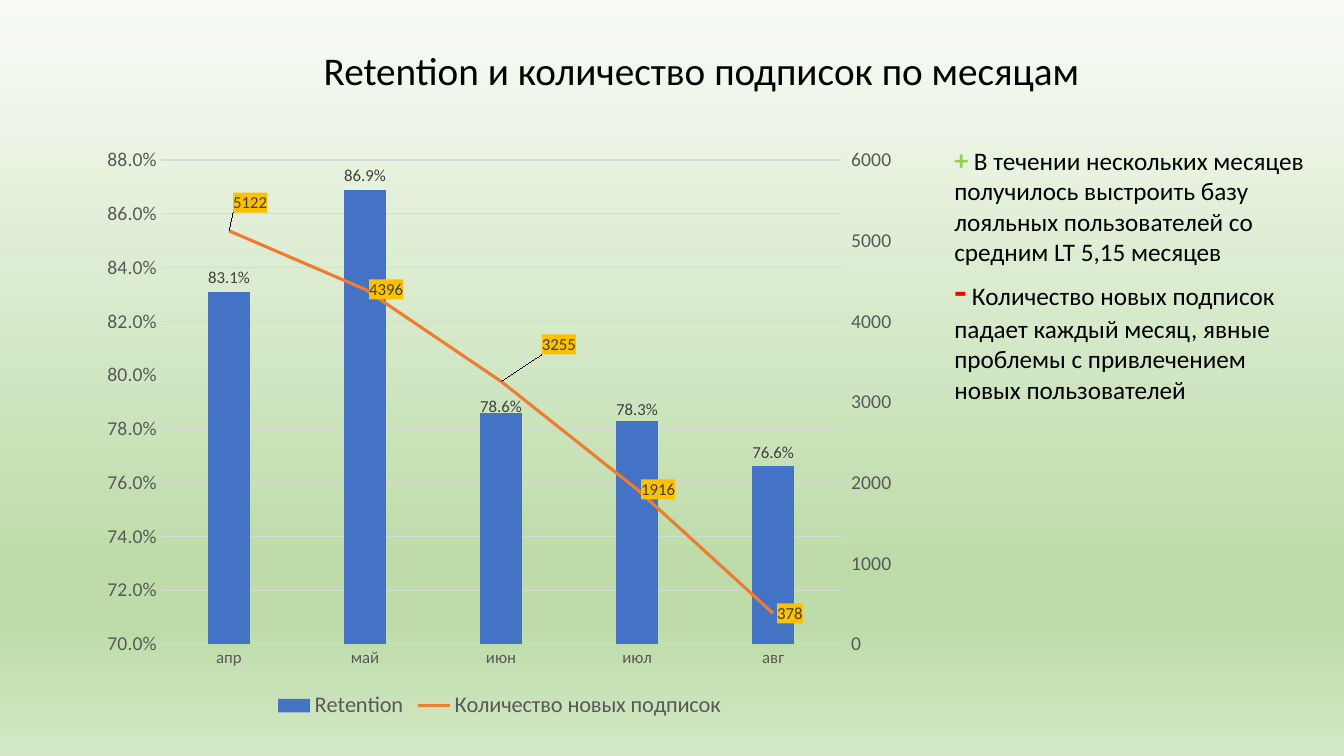
from copy import deepcopy

from lxml import etree
from pptx import Presentation
from pptx.chart.axis import CategoryAxis, ValueAxis
from pptx.chart.data import CategoryChartData
from pptx.dml.color import RGBColor
from pptx.enum.chart import XL_CHART_TYPE as CT, XL_LABEL_POSITION as POS
from pptx.enum.chart import XL_LEGEND_POSITION as LEGEND, XL_MARKER_STYLE as MARKER
from pptx.enum.chart import XL_TICK_MARK as TICK
from pptx.enum.text import MSO_ANCHOR, MSO_AUTO_SIZE, PP_ALIGN
from pptx.oxml import parse_xml
from pptx.oxml.ns import nsdecls, qn
from pptx.util import Pt


def style(font, size, color, bold=False):
    font.name, font.size, font.bold = "Calibri", Pt(size), bold
    font.color.rgb = RGBColor.from_string(color)


def add_layout(parent, index, **values):
    """Insert a manual chart layout as the given child of parent."""
    layout = etree.Element(qn("c:layout"))
    manual = etree.SubElement(layout, qn("c:manualLayout"))
    for name, value in values.items():
        etree.SubElement(manual, qn("c:" + name), val=str(value))
    parent.insert(index, layout)


prs = Presentation()
prs.slide_width, prs.slide_height = Pt(960), Pt(540)
s = prs.slides.add_slide(prs.slide_layouts[5])

# Background
fill = s.background.fill
fill.gradient()
fill.gradient_angle = 270
stops = s.background._cSld.find(".//" + qn("a:gsLst"))
stops.clear()
for pos, color in [(0, "F8FBF6"), (74, "BEDCAA"), (83, "BEDCAA"), (100, "D4E8C6")]:
    stop = etree.SubElement(stops, qn("a:gs"), pos=str(pos * 1000))
    etree.SubElement(stop, qn("a:srgbClr"), val=color)

# Title
title = s.shapes.title
title.left, title.top, title.width, title.height = Pt(221), Pt(29.5), Pt(560), Pt(41)
tf = title.text_frame
tf.word_wrap = False
tf.auto_size = MSO_AUTO_SIZE.SHAPE_TO_FIT_TEXT
tf.vertical_anchor = MSO_ANCHOR.MIDDLE
p = tf.paragraphs[0]
p.alignment = PP_ALIGN.CENTER
r = p.add_run()
r.text = "Retention и количество подписок по месяцам"
style(r.font, 28, "000000")

# Chart
data = CategoryChartData()
data.categories = ["апр", "май", "июн", "июл", "авг"]
data.add_series("Retention", [0.831, 0.869, 0.786, 0.783, 0.766], "0.0%")
data.add_series("Количество новых подписок", [5122, 4396, 3255, 1916, 378], "General")
chart = s.shapes.add_chart(
    CT.COLUMN_CLUSTERED, Pt(64.8), Pt(98), Pt(584), Pt(419), data).chart
chart.has_title = False
style(chart.font, 10, "000000")
chart.has_legend = True
chart.legend.position = LEGEND.BOTTOM
chart.legend.include_in_layout = False
style(chart.legend.font, 16, "595959")

months, retention_axis = chart.category_axis, chart.value_axis
months.major_tick_mark = retention_axis.major_tick_mark = TICK.NONE
style(months.tick_labels.font, 12, "595959")
style(retention_axis.tick_labels.font, 14, "595959")
retention_axis.minimum_scale, retention_axis.maximum_scale = 0.7, 0.88
retention_axis.major_unit = 0.02
retention_axis.tick_labels.number_format = "0.0%"
retention_axis.tick_labels.number_format_is_linked = False
retention_axis.format.line.fill.background()
for line in (months.format.line, retention_axis.major_gridlines.format.line):
    line.color.rgb = RGBColor.from_string("D9D9D9")
    line.width = Pt(0.75)

# Second series becomes a line on its own axes
bar_xml = chart.plots[0]._element
plot_area = bar_xml.getparent()
line_xml = parse_xml(
    f'<c:lineChart {nsdecls("c")}><c:grouping val="standard"/><c:varyColors val="0"/>'
    '<c:marker val="1"/><c:axId val="3001"/><c:axId val="3002"/></c:lineChart>')
line_ser = bar_xml.findall(qn("c:ser"))[1]
for el in line_ser.findall(qn("c:invertIfNegative")):
    line_ser.remove(el)
line_xml.insert(2, line_ser)
bar_xml.addnext(line_xml)

months_copy, count_xml = deepcopy(months._element), deepcopy(retention_axis._element)
retention_axis._element.addnext(count_xml)
count_xml.addnext(months_copy)
for ax, own, other in [(months_copy, "3001", "3002"), (count_xml, "3002", "3001")]:
    ax.find(qn("c:axId")).set("val", own)
    ax.find(qn("c:crossAx")).set("val", other)
CategoryAxis(months_copy).visible = False
count_xml.find(qn("c:axPos")).set("val", "r")
count_xml.find(qn("c:crosses")).set("val", "max")
count_axis = ValueAxis(count_xml)
count_axis.has_major_gridlines = False
count_axis.minimum_scale, count_axis.maximum_scale = 0, 6000
count_axis.major_unit = 1000
count_axis.major_tick_mark = TICK.OUTSIDE
count_axis.tick_labels.number_format = "General"

for old_layout in plot_area.findall(qn("c:layout")):
    plot_area.remove(old_layout)
add_layout(plot_area, 0, layoutTarget="inner", xMode="edge", yMode="edge",
           x=0.086, y=0.039, w=0.832, h=0.825)

bars, line_plot = chart.plots
bars.gap_width = 219
bars.vary_by_categories = False
retention, subscriptions = bars.series[0], line_plot.series[0]
retention.format.fill.solid()
retention.format.fill.fore_color.rgb = RGBColor.from_string("4472C4")
subscriptions.smooth = False
subscriptions.marker.style = MARKER.NONE
subscriptions.format.line.color.rgb = RGBColor.from_string("ED7D31")
subscriptions.format.line.width = Pt(2.25)

# Data labels; shifts are fractions of the chart size by point index
for ser, fmt, pos, back, shifts in [
    (retention, "0.0%", POS.OUTSIDE_END, None, {2: (0, 0.013), 3: (0, 0.005)}),
    (subscriptions, "General", POS.RIGHT, "FFC000", {0: (0, -0.048), 2: (0.045, -0.063)}),
]:
    labels = ser.data_labels
    labels.show_value = True
    labels.number_format, labels.number_format_is_linked = fmt, False
    labels.position = pos
    style(labels.font, 12, "404040")
    xml = labels._element
    if back:
        xml.find(qn("c:txPr")).addprevious(parse_xml(
            f'<c:spPr {nsdecls("c", "a")}><a:solidFill><a:srgbClr val="{back}"/>'
            '</a:solidFill></c:spPr>'))
    shared = [el for el in xml if el.tag != qn("c:showLeaderLines")]
    for n, (idx, (dx, dy)) in enumerate(shifts.items()):
        label = etree.Element(qn("c:dLbl"))
        etree.SubElement(label, qn("c:idx"), val=str(idx))
        add_layout(label, 1, x=dx, y=dy)
        label.extend([deepcopy(el) for el in shared])
        xml.insert(n, label)

# Conclusions
tf = s.shapes.add_textbox(Pt(674.6), Pt(98), Pt(273), Pt(196.5)).text_frame
tf.word_wrap = True
tf.auto_size = MSO_AUTO_SIZE.SHAPE_TO_FIT_TEXT
for i, (sign, size, color, text) in enumerate([
    ("+", 20, "92D050", " В течении нескольких месяцев получилось выстроить базу "
     "лояльных пользователей со средним LT 5,15 месяцев"),
    ("-", 28, "FF0000", " Количество новых подписок падает каждый месяц, явные "
     "проблемы с привлечением новых пользователей"),
]):
    p = tf.add_paragraph() if i else tf.paragraphs[0]
    r = p.add_run()
    r.text = sign
    style(r.font, size, color, bold=True)
    r = p.add_run()
    r.text = text
    style(r.font, 18, "000000")

prs.save("out.pptx")
